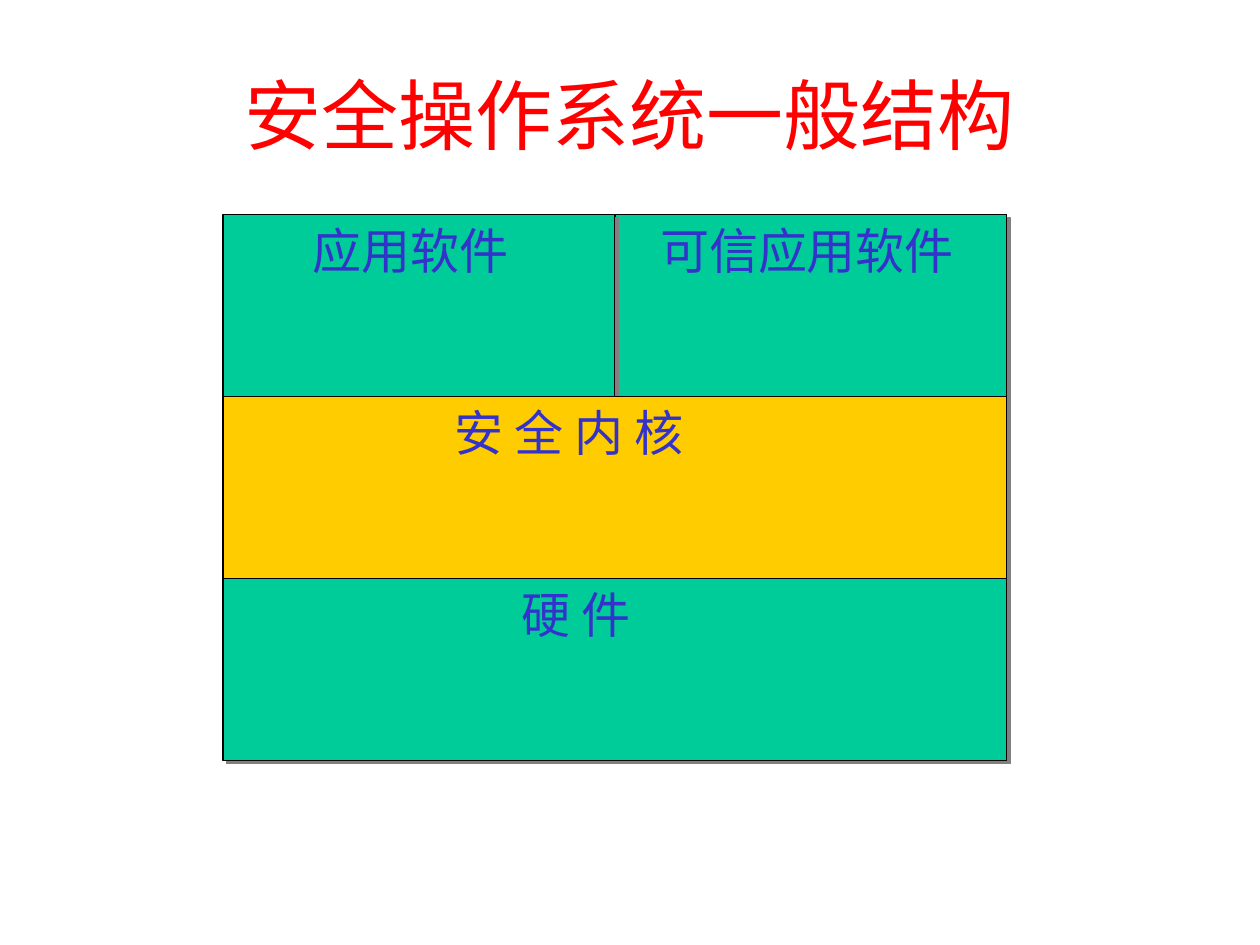
from lxml import etree
from pptx import Presentation
from pptx.dml.color import RGBColor
from pptx.enum.shapes import MSO_SHAPE as Shape
from pptx.enum.text import MSO_ANCHOR as Anchor, PP_ALIGN as Align
from pptx.oxml.ns import qn
from pptx.util import Inches, Pt

CJK_FONT = "Noto Sans CJK JP"
GREEN, YELLOW, BLUE, RED = "00CC99", "FFCC00", "3333CC", "FF0000"
LEFT, TOP, WIDTH, ROW_H = 1.77, 1.7, 6.22, 1.445
PAD = 0.1

# Row, column, columns spanned, fill, text indent, label
LAYERS = [
    (0, 1, 1, GREEN, 0.26, "可信应用软件"),
    (0, 0, 1, GREEN, 0.61, "应用软件"),
    (1, 0, 2, YELLOW, 1.74, "安 全 内 核"),
    (2, 0, 2, GREEN, 2.27, "硬 件"),
]


def rgb(color):
    return RGBColor.from_string(color)


def write_text(tf, text, size, font, color, align, **frame_format):
    for name, value in frame_format.items():
        setattr(tf, name, value)
    p = tf.paragraphs[0]
    p.alignment = align
    r = p.add_run()
    r.text = text
    for name, value in {"size": Pt(size), "name": font}.items():
        setattr(r.font, name, value)
    r.font.color.rgb = rgb(color)
    # East Asian typeface follows the Latin one
    latin = r.font._element.find(qn("a:latin"))
    ea = etree.Element(qn("a:ea"), typeface=CJK_FONT)
    latin.addnext(ea)


def add_shadow(s):
    s.shadow.inherit = False
    effects = s._element.spPr.find(qn("a:effectLst"))
    shadow = etree.SubElement(effects, qn("a:outerShdw"), dist=str(Pt(2.8)),
                              dir="2700000", algn="ctr", rotWithShape="0")
    etree.SubElement(shadow, qn("a:srgbClr"), val="808080")


def add_title(slide, text):
    box = slide.shapes.add_textbox(Inches(0.75), Inches(0.28), Inches(8.5), Inches(1.25))
    write_text(box.text_frame, text, 44, "Times New Roman", RED, Align.CENTER,
               word_wrap=True, vertical_anchor=Anchor.MIDDLE)


def add_layer(group, row, col, span, fill, indent, label):
    col_w = WIDTH / 2
    s = group.shapes.add_shape(Shape.RECTANGLE, Inches(LEFT + col * col_w),
                               Inches(TOP + row * ROW_H),
                               Inches(span * col_w), Inches(ROW_H))
    s.fill.solid()
    s.fill.fore_color.rgb = rgb(fill)
    s.line.color.rgb = rgb("000000")
    s.line.width = Pt(0.75)
    add_shadow(s)
    write_text(s.text_frame, label, 28, CJK_FONT, BLUE, Align.LEFT,
               word_wrap=True, vertical_anchor=Anchor.TOP,
               margin_left=Inches(PAD + indent))


def main():
    prs = Presentation()
    prs.slide_width, prs.slide_height = Inches(10), Inches(7.5)
    slide = prs.slides.add_slide(prs.slide_layouts[6])

    add_title(slide, "安全操作系统一般结构")

    # Stack of system layers
    group = slide.shapes.add_group_shape()
    for layer in LAYERS:
        add_layer(group, *layer)

    prs.save("out.pptx")


if __name__ == "__main__":
    main()
